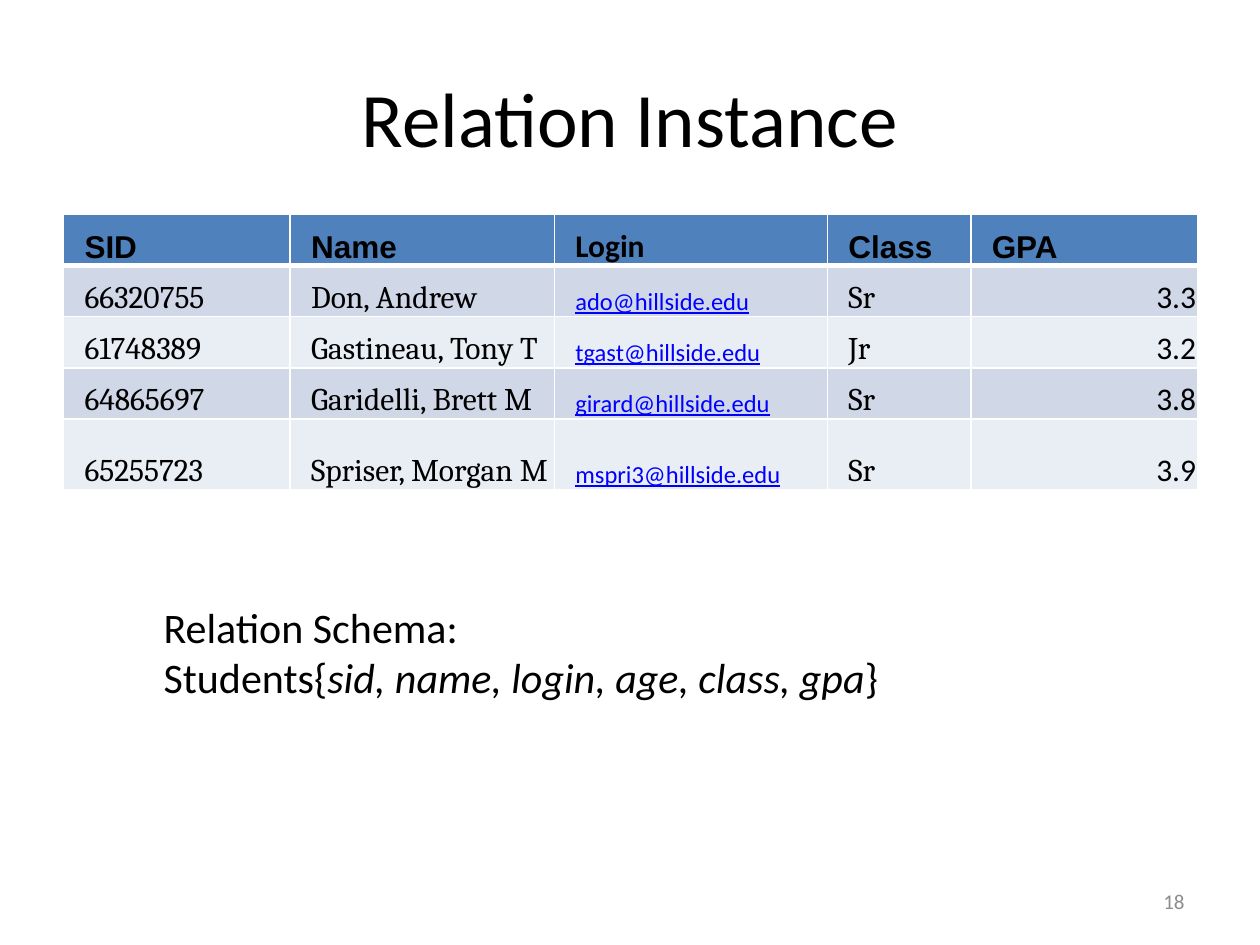
import dataclasses

import pptx
import pptx.dml.color
import pptx.enum.text
import pptx.oxml
import pptx.oxml.ns
import pptx.util

Pt = pptx.util.Pt
Align = pptx.enum.text.PP_ALIGN
Anchor = pptx.enum.text.MSO_ANCHOR


@dataclasses.dataclass(frozen=True)
class Theme:
    ink: str = "000000"
    link: str = "0000FF"
    muted: str = "8C8C8C"
    rule: str = "FFFFFF"
    header: str = "4F81BD"
    bands: tuple = ("D0D8E8", "E9EDF4")
    sans: str = "Calibri"
    serif: str = "Cambria"
    heading: str = "Arial"
    title_size: int = 44
    schema_size: int = 24
    cell_size: int = 18
    link_size: int = 14
    number_size: int = 12


class SlideBuilder:
    """Draws styled elements on the current slide."""

    def __init__(self, deck, theme):
        self.theme = theme
        self.slide = deck.slides.add_slide(deck.slide_layouts[5])

    def style(self, paragraph, size, face=None, color=None, align=None, **marks):
        paragraph.alignment = align
        for run in paragraph.runs:
            run.font.size = Pt(size)
            run.font.name = face or self.theme.sans
            run.font.color.rgb = pptx.dml.color.RGBColor.from_string(color or self.theme.ink)
            for mark, value in marks.items():
                setattr(run.font, mark, value)

    def title(self, text, left, top, width, height):
        heading = self.slide.shapes.title
        heading.left, heading.top = Pt(left), Pt(top)
        heading.width, heading.height = Pt(width), Pt(height)
        heading.text_frame.text = text
        heading.text_frame.vertical_anchor = Anchor.MIDDLE
        self.style(heading.text_frame.paragraphs[0], self.theme.title_size, align=Align.CENTER)

    def text(self, left, top, width, height, anchor=Anchor.TOP):
        frame = self.slide.shapes.add_textbox(Pt(left), Pt(top), Pt(width), Pt(height)).text_frame
        frame.word_wrap = True
        frame.vertical_anchor = anchor
        return frame

    def borders(self, cell, bottom):
        properties = cell._tc.get_or_add_tcPr()
        for place, (side, width) in enumerate((("L", 1), ("R", 1), ("T", 1), ("B", bottom))):
            properties.insert(place, pptx.oxml.parse_xml(
                f'<a:ln{side} {pptx.oxml.ns.nsdecls("a")} w="{Pt(width)}"><a:solidFill>'
                f'<a:srgbClr val="{self.theme.rule}"/></a:solidFill></a:ln{side}>'))

    def cell(self, cell, text, fill, look, inset=12, bottom=1):
        cell.text_frame.text = text
        cell.vertical_anchor = Anchor.BOTTOM
        cell.margin_left, cell.margin_right = Pt(inset), Pt(0.75)
        cell.margin_top, cell.margin_bottom = Pt(0.75), Pt(0)
        cell.fill.solid()
        cell.fill.fore_color.rgb = pptx.dml.color.RGBColor.from_string(fill)
        self.borders(cell, bottom)
        self.style(cell.text_frame.paragraphs[0], **look)

    def table(self, header, records, left, top, widths, heights):
        theme = self.theme
        grid = self.slide.shapes.add_table(
            len(heights), len(widths), Pt(left), Pt(top), Pt(sum(widths)), Pt(sum(heights))).table
        for column, width in zip(grid.columns, widths):
            column.width = Pt(width)
        for row, height in zip(grid.rows, heights):
            row.height = Pt(height)
        for place, label in enumerate(header):
            face = theme.sans if label == "Login" else theme.heading
            look = dict(size=theme.cell_size, face=face, bold=True)
            self.cell(grid.cell(0, place), label, theme.header, look, bottom=3)
        plain = dict(size=theme.cell_size, face=theme.serif)
        looks = {
            "Login": dict(size=theme.link_size, color=theme.link, underline=True),
            "GPA": dict(size=theme.cell_size, align=Align.RIGHT),
        }
        for line, record in enumerate(records, 1):
            fill = theme.bands[(line - 1) % 2]
            for place, (label, value) in enumerate(zip(header, record)):
                inset = 0.75 if label == "GPA" else 12
                self.cell(grid.cell(line, place), value, fill, looks.get(label, plain), inset)

    def schema(self, heading, name, attributes, left, top, width, height):
        frame = self.text(left, top, width, height)
        frame.text = heading
        relation = frame.add_paragraph()
        for part in (name + "{", attributes, "}"):
            relation.add_run().text = part
        for paragraph in frame.paragraphs:
            paragraph.level = 1
            paragraph._p.get_or_add_pPr().set("marL", str(Pt(36)))
            self.style(paragraph, self.theme.schema_size)
        relation.runs[1].font.italic = True

    def number(self, text, left, top, width, height):
        frame = self.text(left, top, width, height, Anchor.MIDDLE)
        frame.text = text
        self.style(frame.paragraphs[0], self.theme.number_size, color=self.theme.muted,
                   align=Align.RIGHT)


deck = pptx.Presentation()
deck.slide_width, deck.slide_height = Pt(720), Pt(540)
page = SlideBuilder(deck, Theme())

page.title("Relation Instance", 36, 21.6, 648, 90)
students = [
    ("66320755", "Don, Andrew", "ado@hillside.edu", "Sr", "3.3"),
    ("61748389", "Gastineau, Tony T", "tgast@hillside.edu", "Jr", "3.2"),
    ("64865697", "Garidelli, Brett M", "girard@hillside.edu", "Sr", "3.8"),
    ("65255723", "Spriser, Morgan M", "mspri3@hillside.edu", "Sr", "3.9"),
]
page.table(("SID", "Name", "Login", "Class", "GPA"), students, 36.3, 122.6,
           widths=(129.5, 151, 156, 82, 129.5), heights=[29.2] * 4 + [40.4])
page.schema("Relation Schema: ", "Students", "sid, name, login, age, class, gpa",
            50.4, 340, 555, 65.5)
page.number("18", 516, 500.5, 168, 28.8)

deck.save("out.pptx")
